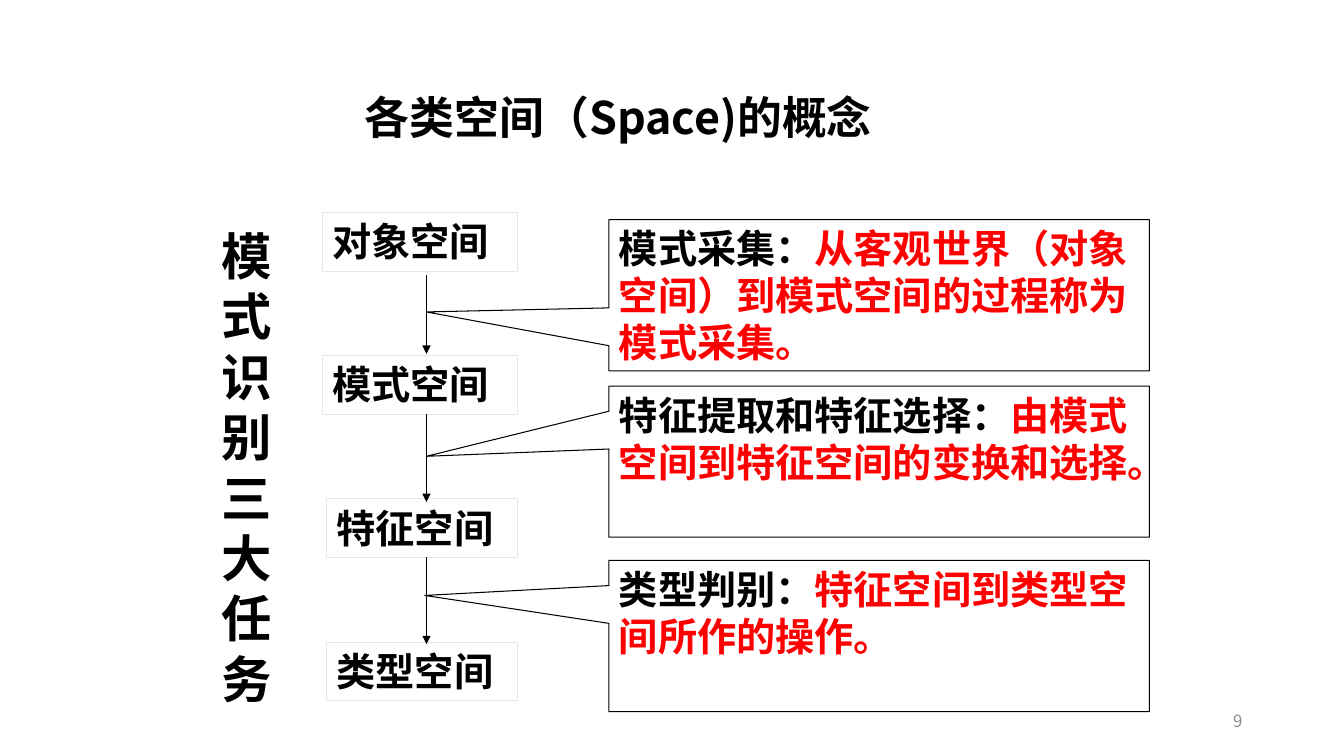
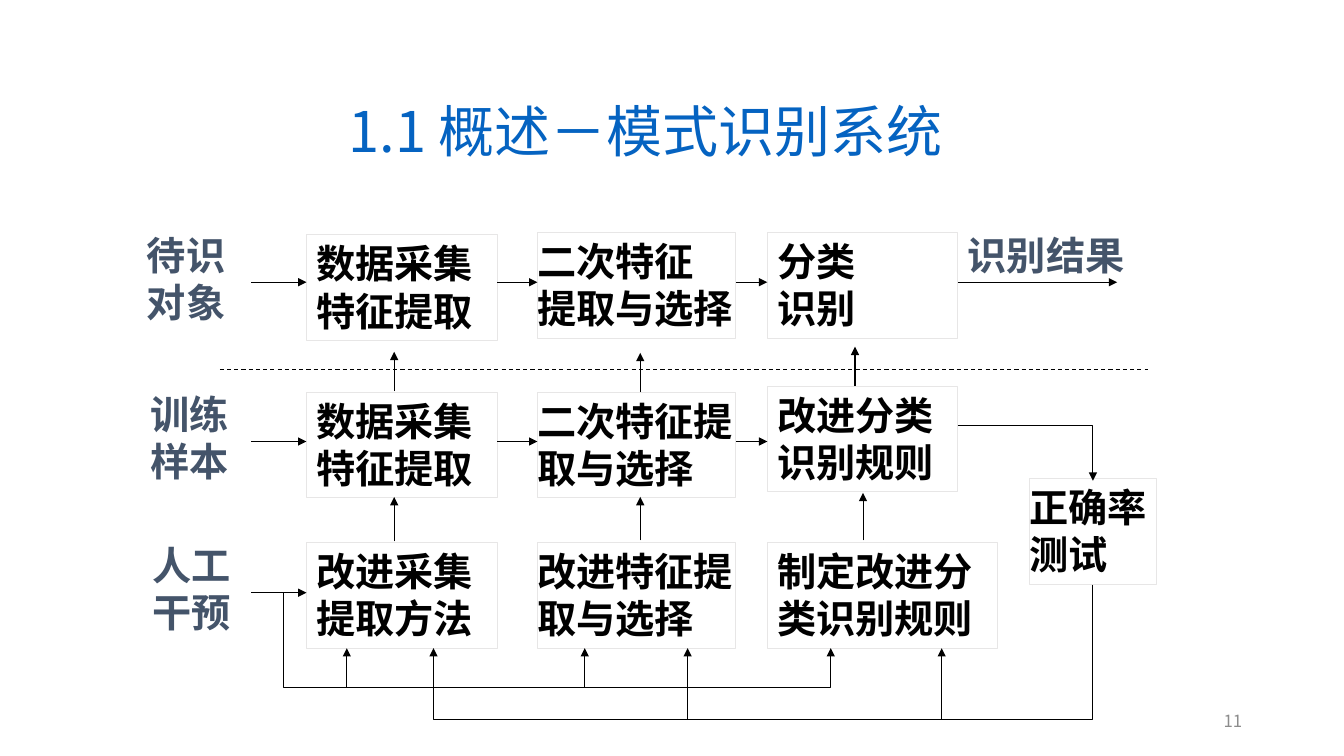
"""Build two slides on pattern recognition: its spaces and its system flow."""
from dataclasses import dataclass, replace

from lxml.etree import SubElement
from pptx import Presentation
from pptx.dml.color import RGBColor
from pptx.enum.dml import MSO_LINE
from pptx.enum.shapes import MSO_CONNECTOR, MSO_SHAPE
from pptx.enum.text import MSO_ANCHOR, PP_ALIGN
from pptx.oxml.ns import qn
from pptx.shapes.autoshape import Shape
from pptx.slide import Slide
from pptx.util import Inches, Pt

Point = tuple[float, float]


@dataclass(frozen=True)
class Theme:
    font: str = "Noto Sans CJK SC"
    ink: str = "000000"
    accent: str = "FF0000"
    label: str = "44546A"
    link: str = "0563C1"
    muted: str = "8C8C8C"
    border: str = "E7E6E6"
    body_size: int = 28
    title_size: int = 32
    banner_size: int = 36
    section_size: int = 40
    number_size: int = 12
    line_width: float = 0.75
    leading: float = 1.2


@dataclass(frozen=True)
class Style:
    size: int
    color: str
    bold: bool = True
    align: PP_ALIGN = PP_ALIGN.LEFT


@dataclass(frozen=True)
class Box:
    text: str
    x: float
    y: float
    w: float
    h: float
    tight: bool = False


@dataclass(frozen=True)
class Callout:
    term: str
    meaning: str
    y: float
    tip: Point


T = Theme()
BODY = Style(T.body_size, T.ink)
LABEL = replace(BODY, color=T.label)
TITLE = replace(BODY, size=T.title_size)
BANNER = replace(BODY, size=T.banner_size)
SECTION = Style(T.section_size, T.link, bold=False)
NUMBER = Style(T.number_size, T.muted, False, PP_ALIGN.RIGHT)

ROW_H = 1.05
COLUMNS = ((3.04, 1.89), (5.33, 1.97), (7.61, 1.89))
FLOW_ROWS = (
    ((2.33, 2.31, 2.31),
     ("数据采集\n特征提取", "二次特征\n提取与选择", "分类\n识别")),
    ((3.89, 3.89, 3.83),
     ("数据采集\n特征提取", "二次特征提取与选择", "改进分类识别规则")),
    ((5.38, 5.38, 5.38),
     ("改进采集\n提取方法", "改进特征提取与选择", "制定改进分类识别规则")),
)
WIDE_RULE_W = 2.28
FLOW_LABELS = (
    Box("待识\n对象", 1.36, 2.25, 1.1, 1.03),
    Box("训练\n样本", 1.39, 3.82, 1.1, 1.03),
    Box("人工\n干预", 1.41, 5.32, 1.1, 1.03),
    Box("识别结果", 9.5, 2.25, 1.81, 0.57),
)
ACCURACY = Box("正确率\n测试", 10.21, 4.75, 1.26, ROW_H, tight=True)
ACROSS = ((2.49, 3.04), (4.93, 5.33), (7.3, 7.61))
UPWARD = (
    (3.91, 3.88, 3.49), (6.35, 3.89, 3.5), (8.48, 3.83, 3.44),
    (3.91, 5.37, 4.93), (6.35, 5.36, 4.93), (8.56, 5.36, 4.89),
    (3.44, 6.82, 6.43), (5.8, 6.82, 6.43),
    (6.82, 7.14, 6.43), (9.34, 7.14, 6.43),
)
ELBOWS = (
    ((2.81, 5.88), (2.81, 6.82), (8.24, 6.82), (8.24, 6.43)),
    ((9.5, 4.22), (10.84, 4.22), (10.84, 4.77)),
    ((10.84, 5.8), (10.84, 7.14), (4.3, 7.14), (4.3, 6.43)),
)

SPACES = ("对象空间", "模式空间", "特征空间", "类型空间")
SPACE_ARROWS = ((2.73, 3.51), (4.11, 4.98), (5.53, 6.39))
CALLOUTS = (
    Callout("模式采集：", "从客观世界（对象空间）到模式空间的过程称为模式采集。",
            2.18, (-0.838, 0.11)),
    Callout("特征提取和特征选择：", "由模式空间到特征空间的变换和选择。",
            3.83, (-0.838, -0.035)),
    Callout("类型判别：", "特征空间到类型空间所作的操作。",
            5.56, (-0.841, -0.268)),
)


def write(sp: Shape, text: str, style: Style, accent: str = "") -> None:
    """Write paragraphs in one style, with an optional accented last run."""
    tf = sp.text_frame
    tf.word_wrap = True
    tf.text = text
    for p in tf.paragraphs:
        p.alignment = style.align
        p.line_spacing = Pt(style.size * T.leading)
    if accent:
        tf.paragraphs[-1].add_run().text = accent
    for p in tf.paragraphs:
        for font in (p.font, *(r.font for r in p.runs)):
            font.size = Pt(style.size)
            font.bold = style.bold
            font.color.rgb = RGBColor.from_string(style.color)
            font.name = T.font
            SubElement(font._rPr, qn("a:ea"), typeface=T.font)
    if accent:
        r = tf.paragraphs[-1].runs[-1]
        r.font.color.rgb = RGBColor.from_string(T.accent)


def outline(sp, color: str = T.ink, arrow: bool = False) -> None:
    """Give a shape or connector a thin line and an optional arrowhead."""
    sp.line.color.rgb = RGBColor.from_string(color)
    sp.line.width = Pt(T.line_width)
    if arrow:
        SubElement(sp.line._get_or_add_ln(), qn("a:tailEnd"), type="triangle")


def add_text(s: Slide, box: Box, style: Style) -> Shape:
    """Add a plain text box."""
    sp = s.shapes.add_textbox(
        Inches(box.x), Inches(box.y), Inches(box.w), Inches(box.h))
    write(sp, box.text, style)
    return sp


def add_box(s: Slide, box: Box, kind: MSO_SHAPE = MSO_SHAPE.RECTANGLE,
            border: str = T.border, accent: str = "") -> Shape:
    """Add an outlined, unfilled shape with body text."""
    sp = s.shapes.add_shape(
        kind, Inches(box.x), Inches(box.y), Inches(box.w), Inches(box.h))
    sp.shadow.inherit = False
    sp.fill.background()
    outline(sp, border)
    tf = sp.text_frame
    tf.vertical_anchor = MSO_ANCHOR.TOP
    if box.tight:
        tf.margin_left = tf.margin_right = 0
    write(sp, box.text, BODY, accent)
    return sp


def add_line(s: Slide, start: Point, end: Point, dashed: bool = False) -> None:
    """Add a straight arrow, or a dashed line without a head."""
    cx = s.shapes.add_connector(
        MSO_CONNECTOR.STRAIGHT, *(Inches(v) for v in (*start, *end)))
    outline(cx, arrow=not dashed)
    if dashed:
        cx.line.dash_style = MSO_LINE.DASH
    SubElement(cx._element.spPr, qn("a:effectLst"))


def add_elbow(s: Slide, points: tuple[Point, ...]) -> None:
    """Add an angled arrow through the given points."""
    first, *rest = [(Inches(x), Inches(y)) for x, y in points]
    builder = s.shapes.build_freeform(*first)
    builder.add_line_segments(rest, close=False)
    sp = builder.convert_to_shape()
    sp.shadow.inherit = False
    sp.fill.background()
    outline(sp, arrow=True)


def add_slide(prs: Presentation, number: int, title: Box, style: Style) -> Slide:
    """Add a blank slide with its title and page number."""
    s = prs.slides.add_slide(prs.slide_layouts[6])
    add_text(s, title, style)
    sp = add_text(s, Box(str(number), 9.42, 6.95, 3, 0.4), NUMBER)
    sp.text_frame.vertical_anchor = MSO_ANCHOR.MIDDLE
    return s


def build_spaces(prs: Presentation) -> None:
    """Draw the four spaces and the three tasks between them."""
    s = add_slide(prs, 9, Box("各类空间（Space)的概念", 3.52, 0.84, 5.59, 0.63), TITLE)
    for i, name in enumerate(SPACES):
        x = 3.2 if i < 2 else 3.24
        add_box(s, Box(name, x, 2.11 + 1.42 * i, 5.13 - x, 0.58))
    for top, bottom in SPACE_ARROWS:
        add_line(s, (4.23, top), (4.23, bottom))
    for c in CALLOUTS:
        sp = add_box(s, Box(c.term, 6.04, c.y, 5.36, 1.5),
                     MSO_SHAPE.RECTANGULAR_CALLOUT, T.ink, c.meaning)
        sp.adjustments[0], sp.adjustments[1] = c.tip
    add_text(s, Box("模\n式\n识\n别\n三大\n任务", 2.1, 2.18, 1.02, 4.91), BANNER)


def build_system(prs: Presentation) -> None:
    """Draw the recognition, training and intervention flows."""
    s = add_slide(prs, 11, Box("1.1 概述－模式识别系统", 3.36, 0.91, 7.24, 0.77), SECTION)
    for i, (tops, names) in enumerate(FLOW_ROWS):
        for j, ((x, w), y, name) in enumerate(zip(COLUMNS, tops, names)):
            width = WIDE_RULE_W if (i, j) == (2, 2) else w
            add_box(s, Box(name, x, y, width, ROW_H, tight=j == 1))
    add_box(s, ACCURACY)
    for label in FLOW_LABELS:
        add_text(s, label, LABEL)
    for y in (2.8, 4.38):
        for left, right in ACROSS:
            add_line(s, (left, y), (right, y))
    add_line(s, (9.5, 2.8), (11.08, 2.8))
    add_line(s, (2.49, 5.88), (3.04, 5.88))
    for x, bottom, top in UPWARD:
        add_line(s, (x, bottom), (x, top))
    add_line(s, (2.18, 3.67), (11.39, 3.67), dashed=True)
    for points in ELBOWS:
        add_elbow(s, points)


def main() -> None:
    """Build the deck and save it."""
    prs = Presentation()
    prs.slide_width, prs.slide_height = Inches(13.33), Inches(7.5)
    build_spaces(prs)
    build_system(prs)
    prs.save("out.pptx")


if __name__ == "__main__":
    main()
